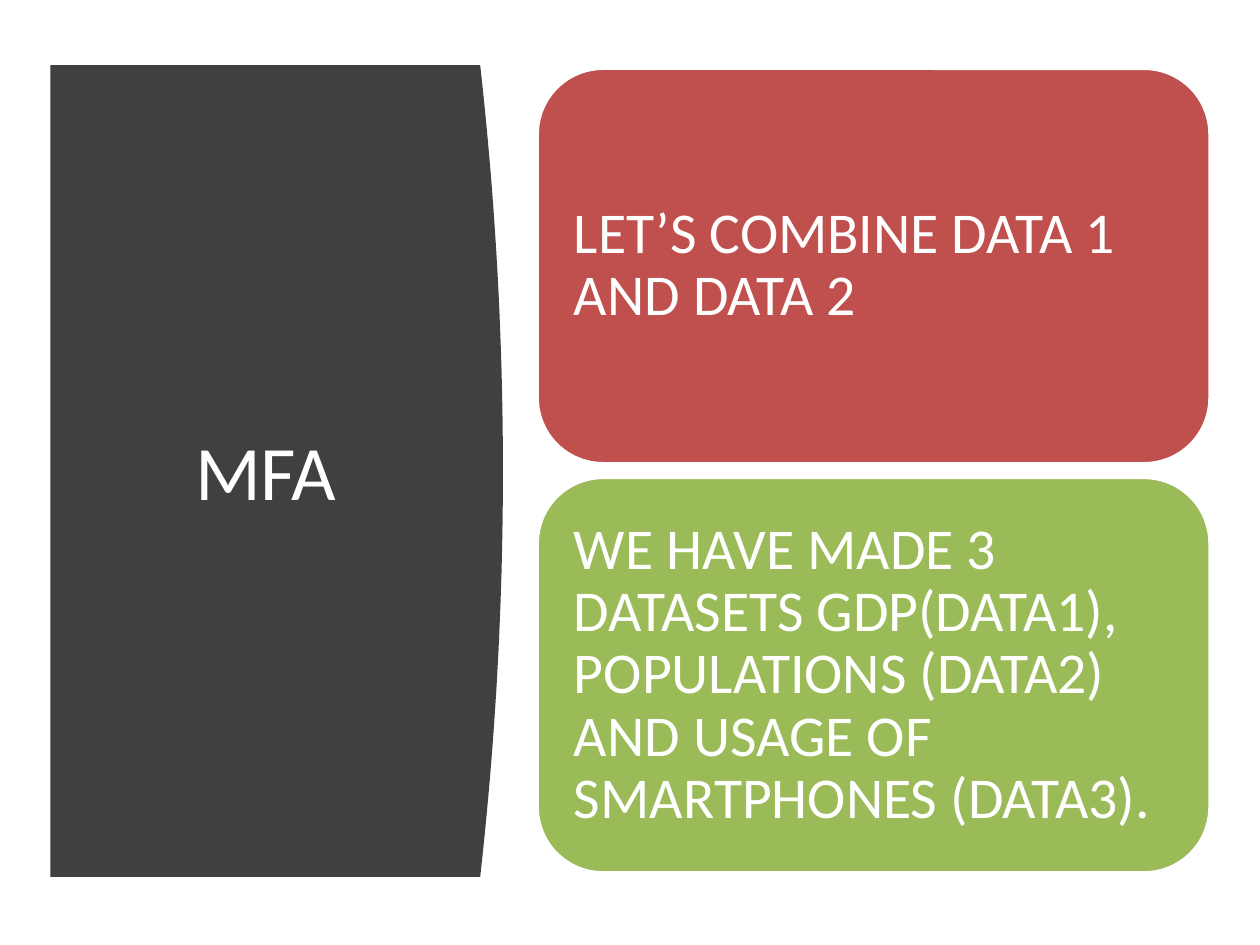
"""Build the MFA slide: a curved title panel beside two stacked statement cards."""
from dataclasses import dataclass

from pptx import Presentation
from pptx.dml.color import RGBColor
from pptx.enum.shapes import MSO_SHAPE
from pptx.enum.text import MSO_ANCHOR, PP_ALIGN
from pptx.slide import Slide
from pptx.text.text import TextFrame
from pptx.util import Pt

ROUNDED = MSO_SHAPE.ROUNDED_RECTANGLE
MIDDLE = MSO_ANCHOR.MIDDLE
CENTER, LEFT = PP_ALIGN.CENTER, PP_ALIGN.LEFT


@dataclass(frozen=True)
class Theme:
    """Colours, font and type sizes of the slide."""
    panel: str = "404040"
    red: str = "C0504D"
    green: str = "9BBB59"
    white: str = "FFFFFF"
    font: str = "Calibri"
    title_size: float = 44
    card_size: float = 33


@dataclass(frozen=True)
class Box:
    """A rectangle in points."""
    left: float
    top: float
    width: float
    height: float

    def lengths(self) -> tuple[Pt, ...]:
        """Return the position and size as lengths."""
        return tuple(Pt(v) for v in (self.left, self.top, self.width, self.height))


@dataclass(frozen=True)
class Card:
    """A statement and its fill colour."""
    statement: str
    fill: str


THEME = Theme()
PANEL = Box(28.8, 37.3, 258.6, 463.8)
PANEL_BULGE = 13
CURVE_STEPS = 40
TITLE = Box(51.1, 79.9, 201.6, 377.3)
FIRST_CARD = Box(307, 39, 384.5, 226)
CARD_PITCH = 233.8
CARD_INSET = 10
CARDS = (
    Card("LET’S COMBINE DATA 1 AND DATA 2", THEME.red),
    Card("WE HAVE MADE 3 DATASETS GDP(DATA1), POPULATIONS (DATA2) "
         "AND USAGE OF SMARTPHONES (DATA3).", THEME.green),
)


def write_text(frame: TextFrame, text: str, size: float, align: PP_ALIGN,
               spacing: float, inset: float) -> None:
    """Write one white, vertically centred paragraph."""
    frame_format = {"word_wrap": True, "vertical_anchor": MIDDLE}
    for side in ("left", "right", "top", "bottom"):
        frame_format[f"margin_{side}"] = Pt(inset)
    paragraph = frame.paragraphs[0]
    run = paragraph.add_run()
    run.text = text
    run.font.color.rgb = RGBColor.from_string(THEME.white)
    formats = (
        (frame, frame_format),
        (paragraph, {"alignment": align, "line_spacing": spacing}),
        (run.font, {"name": THEME.font, "size": Pt(size)}),
    )
    for target, values in formats:
        for attribute, value in values.items():
            setattr(target, attribute, value)


def draw_panel(slide: Slide) -> None:
    """Draw the dark panel with its parabolic right edge."""
    right, bottom = PANEL.left + PANEL.width, PANEL.top + PANEL.height
    edge = []
    for step in range(CURVE_STEPS + 1):
        share = step / CURVE_STEPS
        offset = 2 * share - 1
        edge.append((Pt(right - PANEL_BULGE * offset ** 2),
                     Pt(PANEL.top + PANEL.height * share)))
    builder = slide.shapes.build_freeform(Pt(PANEL.left), Pt(PANEL.top))
    builder.add_line_segments([*edge, (Pt(PANEL.left), Pt(bottom))], close=True)
    panel = builder.convert_to_shape()
    panel.shadow.inherit = False
    panel.fill.solid()
    panel.fill.fore_color.rgb = RGBColor.from_string(THEME.panel)
    panel.line.fill.background()


def draw_title(slide: Slide) -> None:
    """Place the title over the panel."""
    title = slide.shapes.add_textbox(*TITLE.lengths())
    write_text(title.text_frame, "MFA", THEME.title_size, CENTER, 1.0, 4)


def draw_card(slide: Slide, card: Card, box: Box) -> None:
    """Draw a rounded card holding its statement."""
    shape = slide.shapes.add_shape(ROUNDED, *box.lengths())
    shape.shadow.inherit = False
    shape.fill.solid()
    shape.fill.fore_color.rgb = RGBColor.from_string(card.fill)
    shape.line.color.rgb = RGBColor.from_string(THEME.white)
    shape.line.width = Pt(2)
    write_text(shape.text_frame, card.statement, THEME.card_size, LEFT, 0.9, CARD_INSET)


def main() -> None:
    """Build and save the slide."""
    deck = Presentation()
    deck.slide_width, deck.slide_height = Pt(720), Pt(540)
    slide = deck.slides.add_slide(deck.slide_layouts[6])
    draw_panel(slide)
    draw_title(slide)
    for index, card in enumerate(CARDS):
        top = FIRST_CARD.top + index * CARD_PITCH
        draw_card(slide, card, Box(FIRST_CARD.left, top, FIRST_CARD.width, FIRST_CARD.height))
    deck.save("out.pptx")


if __name__ == "__main__":
    main()
